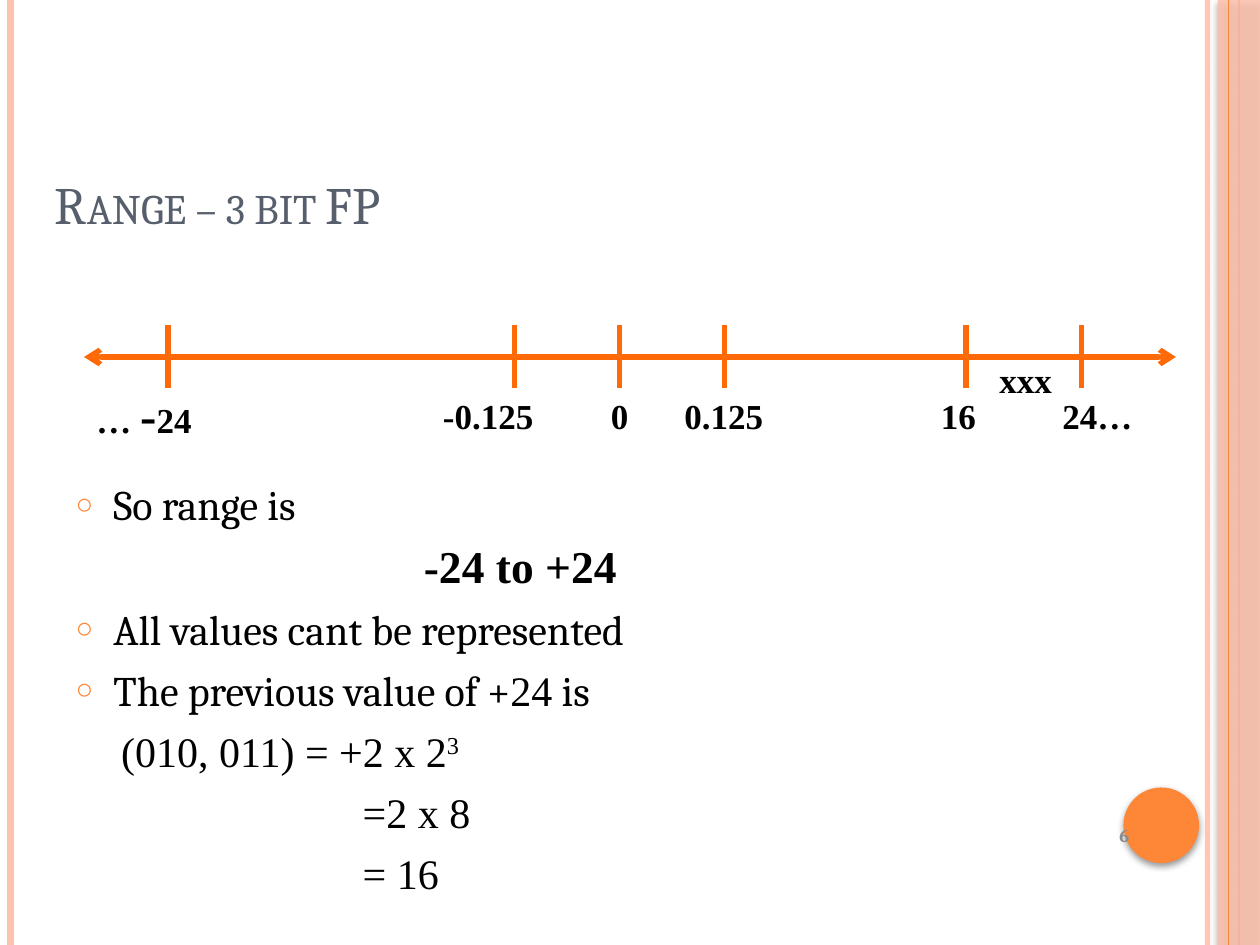
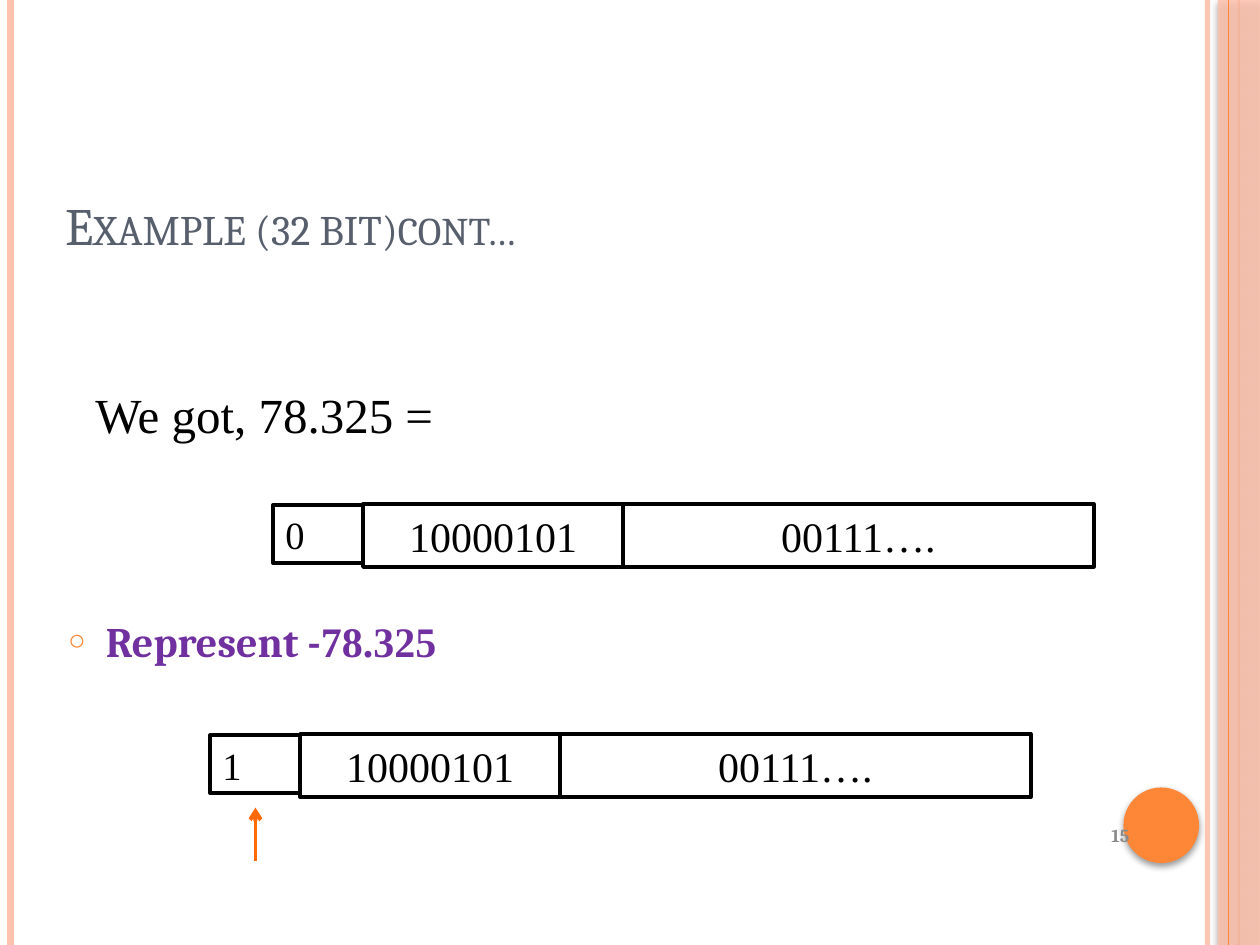
from lxml import etree
from pptx import Presentation
from pptx.dml.color import RGBColor
from pptx.enum.shapes import MSO_CONNECTOR, MSO_SHAPE
from pptx.enum.text import MSO_ANCHOR, MSO_AUTO_SIZE, PP_ALIGN
from pptx.oxml.ns import qn
from pptx.util import Pt

STRAIGHT = MSO_CONNECTOR.STRAIGHT
RECT, OVAL = MSO_SHAPE.RECTANGLE, MSO_SHAPE.OVAL
TOP, MIDDLE, BOTTOM = MSO_ANCHOR.TOP, MSO_ANCHOR.MIDDLE, MSO_ANCHOR.BOTTOM
LEFT, CENTER, RIGHT = PP_ALIGN.LEFT, PP_ALIGN.CENTER, PP_ALIGN.RIGHT
NO_FIT = MSO_AUTO_SIZE.NONE

SERIF, TIMES = "Cambria", "Times New Roman"
COLORS = {
    "black": "000000",
    "title": "575F6D",
    "orange": "FE8637",
    "peach": "FEC2AE",
    "arrow": "FF6A09",
    "purple": "7030A0",
    "number": "8B8B8B",
}
SLIDE_W, SLIDE_H = 720, 540


def rgb(name):
    return RGBColor.from_string(COLORS[name])


def sub(parent, tag, **attrs):
    el = etree.SubElement(parent, qn(tag))
    for key, value in attrs.items():
        el.set(key, str(value))
    return el


def set_alpha(shape, percent):
    for clr in shape._element.spPr.iter(qn("a:srgbClr")):
        sub(clr, "a:alpha", val=percent * 1000)


def write(p, text, size=24, font=TIMES, color="black", bold=False, small=False, raised=0):
    r = p.add_run()
    r.text = text
    r.font.size = Pt(size)
    r.font.name = font
    r.font.bold = bold
    r.font.color.rgb = rgb(color)
    rPr = r._r.get_or_add_rPr()
    if small:
        rPr.set("cap", "small")
    if raised:
        rPr.set("baseline", str(raised * 1000))


def prepare(shape, anchor=TOP):
    tf = shape.text_frame
    tf.word_wrap = True
    tf.auto_size = NO_FIT
    tf.vertical_anchor = anchor
    return tf


def place(shape, x, y, w, h):
    shape.left, shape.top, shape.width, shape.height = Pt(x), Pt(y), Pt(w), Pt(h)


def add_line(s, x1, y1, x2, y2, color, width, alpha=None, head=False, tail=False):
    line = s.shapes.add_connector(STRAIGHT, Pt(x1), Pt(y1), Pt(x2), Pt(y2))
    line.line.color.rgb = rgb(color)
    line.line.width = Pt(width)
    ln = line.line._get_or_add_ln()
    if head:
        sub(ln, "a:headEnd", type="arrow")
    if tail:
        sub(ln, "a:tailEnd", type="arrow")
    sub(line._element.spPr, "a:effectLst")
    if alpha:
        set_alpha(line, alpha)


def add_shadowed(s, kind, x, y, w, h, color, alpha=None):
    shape = s.shapes.add_shape(kind, Pt(x), Pt(y), Pt(w), Pt(h))
    shape.fill.solid()
    shape.fill.fore_color.rgb = rgb(color)
    shape.line.fill.background()
    if alpha:
        set_alpha(shape, alpha)
    shape.shadow.inherit = False
    effects = shape._element.spPr.find(qn("a:effectLst"))
    shadow = sub(effects, "a:outerShdw", blurRad=Pt(4), dist=Pt(2), dir=5400000, rotWithShape=0)
    sub(sub(shadow, "a:srgbClr", val=COLORS["black"]), "a:alpha", val=40000)


def add_text(s, x, y, w, h, *runs, align=LEFT, anchor=TOP):
    tf = prepare(s.shapes.add_textbox(Pt(x), Pt(y), Pt(w), Pt(h)), anchor)
    p = tf.paragraphs[0]
    p.alignment = align
    for text, fmt in runs:
        write(p, text, **fmt)


def add_cell(s, x, y, w, h, text, size=24, align=CENTER):
    cell = s.shapes.add_shape(RECT, Pt(x), Pt(y), Pt(w), Pt(h))
    cell.shadow.inherit = False
    cell.fill.background()
    cell.line.color.rgb = rgb("black")
    cell.line.width = Pt(2.25)
    p = prepare(cell).paragraphs[0]
    p.alignment = align
    write(p, text, size=size)


def add_register(s, x, y, sign):
    add_cell(s, x, y + 0.7, 51.5, 33, sign, size=22, align=LEFT)
    add_cell(s, x + 51.5, y, 148.5, 36, "10000101")
    add_cell(s, x + 200, y, 269, 36, "00111….")


def add_paragraph(p, runs, indent=None, before=6):
    p.alignment = LEFT
    p.space_before = Pt(before)
    pPr = p._p.get_or_add_pPr()
    bulleted = indent is None
    pPr.set("marL", str(Pt(21.6 if bulleted else indent)))
    pPr.set("indent", str(Pt(-21.6 if bulleted else 0)))
    if bulleted:
        sub(sub(pPr, "a:buClr"), "a:srgbClr", val=COLORS["orange"])
        sub(pPr, "a:buSzPct", val=70000)
        sub(pPr, "a:buChar", char="○")
    else:
        sub(pPr, "a:buNone")
    for text, fmt in runs:
        write(p, text, **fmt)


def fill_body(s, box, paragraphs):
    body = s.placeholders[1]
    place(body, *box)
    tf = prepare(body)
    for i, (runs, layout) in enumerate(paragraphs):
        p = tf.add_paragraph() if i else tf.paragraphs[0]
        add_paragraph(p, runs, **layout)


def add_slide(prs, number, title_x, title_y, *title):
    s = prs.slides.add_slide(prs.slide_layouts[1])
    for x, color, width, alpha in ((690, "peach", 3, 93), (6, "peach", 4.5, None),
                                   (708, "orange", 1.5, None)):
        add_line(s, x, 0, x, SLIDE_H, color, width, alpha)
    add_shadowed(s, RECT, 696, 0, 24, SLIDE_H, "peach", alpha=87)
    add_line(s, 702, 0, 702, SLIDE_H, "orange", 0.75)
    add_shadowed(s, OVAL, 642, 450, 43.2, 43.2, "orange")
    place(s.shapes.title, title_x, title_y, 648, 84)
    p = prepare(s.shapes.title, BOTTOM).paragraphs[0]
    p.alignment = LEFT
    for text, size in title:
        write(p, text, size=size, font=SERIF, color="title", small=True)
    add_text(s, 607, 463, 45.4, 28.8,
             (number, dict(size=10.5, font=SERIF, color="number", bold=True)),
             align=RIGHT, anchor=MIDDLE)
    return s


def add_number_line(s):
    add_line(s, 48, 204, 672, 204, "arrow", 3, head=True, tail=True)
    for x in (96, 294, 354, 414, 552, 618):
        add_line(s, x, 186, x, 222, "arrow", 3)
    label = dict(size=20, bold=True)
    for text, x, y, w in (("-0.125", 246, 222, 96), ("0", 342, 222, 36),
                          ("0.125", 384, 222, 90), ("16", 530.6, 222, 44.6),
                          ("24…", 600, 222, 90), ("xxx", 564, 201.6, 45.4)):
        add_text(s, x, y, w, 31, (text, label))
    add_text(s, 48, 216, 90, 40, ("… ", label), ("-", dict(size=28, bold=True)), ("24", label))


def build_range(prs):
    s = add_slide(prs, "6", 24, 54, ("Range – 3 bit FP", 30))
    add_number_line(s)
    serif = dict(font=SERIF)
    fill_body(s, (36, 270, 609, 248), [
        ([("So range is", serif)], {}),
        ([("-24 to +24", dict(size=26, bold=True))], dict(indent=199, before=5.2)),
        ([("All values cant be represented", serif)], {}),
        ([("The previous value of +", serif), ("24", {}), (" is", serif)], {}),
        ([("(010, 011) = +2 x 2", {}), ("3", dict(raised=30))], dict(indent=26)),
        ([("=2 x 8", {})], dict(indent=164)),
        ([("= 16", {})], dict(indent=164)),
    ])


def build_example(prs):
    s = add_slide(prs, "15", 30, 66, ("Example (32 bit)", 30), ("cont…", 28))
    add_text(s, 47.5, 216, 330, 40, ("We got, 78.325 =", dict(size=28)))
    add_register(s, 156, 288, "0")
    accent = dict(color="purple", bold=True)
    fill_body(s, (31.7, 348, 648, 48), [
        ([("Represent -", dict(font=SERIF, **accent)), ("78.325", accent)], {}),
    ])
    add_register(s, 120, 419.5, "1")
    add_line(s, 146, 492, 146, 461.5, "arrow", 2.25, tail=True)


def main():
    prs = Presentation()
    prs.slide_width, prs.slide_height = Pt(SLIDE_W), Pt(SLIDE_H)
    build_range(prs)
    build_example(prs)
    prs.save("out.pptx")


if __name__ == "__main__":
    main()
